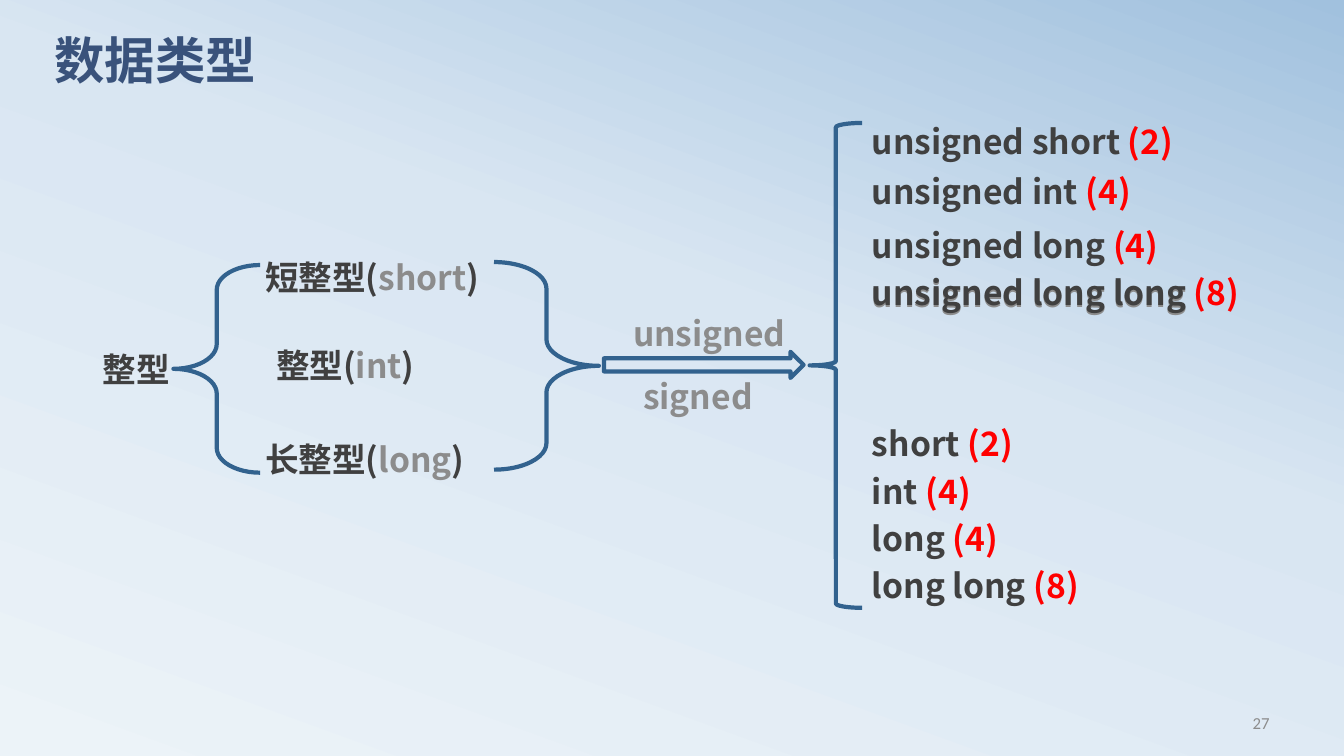
"""Build the slide on C integer data types, with braces leading to signed and unsigned forms."""
from copy import deepcopy

from pptx import Presentation
from pptx.dml.color import RGBColor
from pptx.enum.shapes import MSO_SHAPE
from pptx.enum.text import MSO_ANCHOR, PP_ALIGN
from pptx.oxml.ns import qn
from pptx.util import Inches, Pt

LEFT_BRACE, RIGHT_BRACE = MSO_SHAPE.LEFT_BRACE, MSO_SHAPE.RIGHT_BRACE
RIGHT_ARROW = MSO_SHAPE.RIGHT_ARROW
MIDDLE, RIGHT = MSO_ANCHOR.MIDDLE, PP_ALIGN.RIGHT
CELL = Inches(1)
BODY_FONT = "Noto Sans CJK SC"
TYPE_COLUMN, FORM_COLUMN = 2.53, 8.55
ROW_HEIGHT, SIGNED_TOP, SIGNED_PITCH = 0.56, 4.15, 0.47
COLORS = {
    "title": "39527B",
    "text": "404040",
    "muted": "8C8C8C",
    "size": "FF0000",
    "line": "32628E",
}
BACKGROUND_STOPS = [(0, "ECF3F8"), (0.58, "D9E6F2"), (1, "A1C1DE")]

presentation = Presentation()
presentation.slide_width = Inches(13.33)
presentation.slide_height = Inches(7.5)
slide = presentation.slides.add_slide(presentation.slide_layouts[6])

background = slide.background.fill
background.gradient()
background.gradient_angle = 70
stop_list = slide.element.find(".//" + qn("a:gsLst"))
stop_list.insert(1, deepcopy(stop_list[0]))
for stop, (position, color) in zip(background.gradient_stops, BACKGROUND_STOPS):
    stop.position = position
    stop.color.rgb = RGBColor.from_string(color)


def add_text(left, top, width, height, pieces, size=24, font=BODY_FONT, bold=True):
    box = slide.shapes.add_textbox(*(int(n * CELL) for n in (left, top, width, height)))
    box.text_frame.word_wrap = True
    paragraph = box.text_frame.paragraphs[0]
    for text, color in pieces:
        run = paragraph.add_run()
        run.text = text
        run.font.size = Pt(size)
        run.font.bold = bold
        run.font.name = font
        run.font.color.rgb = RGBColor.from_string(COLORS[color])
        east_asian = run.font._element.makeelement(qn("a:ea"), {"typeface": BODY_FONT})
        run.font._element.find(qn("a:latin")).addnext(east_asian)
    return box


number = add_text(9.58, 6.97, 3.11, 0.4, [("27", "muted")], 12, "Calibri", False)
number.text_frame.vertical_anchor = MIDDLE
number.text_frame.paragraphs[0].alignment = RIGHT

title = add_text(0.44, 0.36, 12, 0.94, [("数据类型", "title")], 36, "Arial")
title.text_frame.paragraphs[0].line_spacing = 0.8

add_text(0.92, 3.41, 1.04, ROW_HEIGHT, [("整型", "text")])
for left, top, width, name, keyword in [
    (TYPE_COLUMN, 2.5, 2.35, "短整型", "short"),
    (TYPE_COLUMN + 0.11, 3.37, 1.87, "整型", "int"),
    (TYPE_COLUMN, 4.31, 2.71, "长整型", "long"),
]:
    pieces = [(name + "(", "text"), (keyword, "muted"), (")", "text")]
    add_text(left, top, width, ROW_HEIGHT, pieces)

for kind, left, top, width, height, adjustment in [
    (LEFT_BRACE, 1.72, 2.63, 0.86, 2.06, 0.286),
    (RIGHT_BRACE, 4.9, 2.6, 1.04, 2.06, 0.253),
    (RIGHT_ARROW, 5.99, 3.49, 1.98, 0.26, 0.5),
    (LEFT_BRACE, 8.03, 1.22, 0.52, 4.81, 0.083),
]:
    shape = slide.shapes.add_shape(kind, *(int(n * CELL) for n in (left, top, width, height)))
    shape.adjustments[0] = adjustment
    shape.shadow.inherit = False
    shape.fill.background()
    shape.line.color.rgb = RGBColor.from_string(COLORS["line"])
    shape.line.width = Pt(3)

add_text(6.18, 3.06, 1.98, ROW_HEIGHT, [("unsigned", "muted")])
add_text(6.28, 3.68, 1.46, ROW_HEIGHT, [("signed", "muted")])

add_text(FORM_COLUMN, 2.67, 3.64, ROW_HEIGHT, [("unsigned long long", "muted")])
types = [("short", 2), ("int", 4), ("long", 4), ("long long", 8)]
unsigned_tops = [1.15, 1.65, 2.18, 2.65]
for row, ((keyword, size), unsigned_top) in enumerate(zip(types, unsigned_tops)):
    signed_top = SIGNED_TOP + row * SIGNED_PITCH
    for prefix, top in [("unsigned ", unsigned_top), ("", signed_top)]:
        pieces = [(f"{prefix}{keyword} ", "text"), (f"({size})", "size")]
        add_text(FORM_COLUMN, top, 4.1, ROW_HEIGHT, pieces)

presentation.save("out.pptx")
